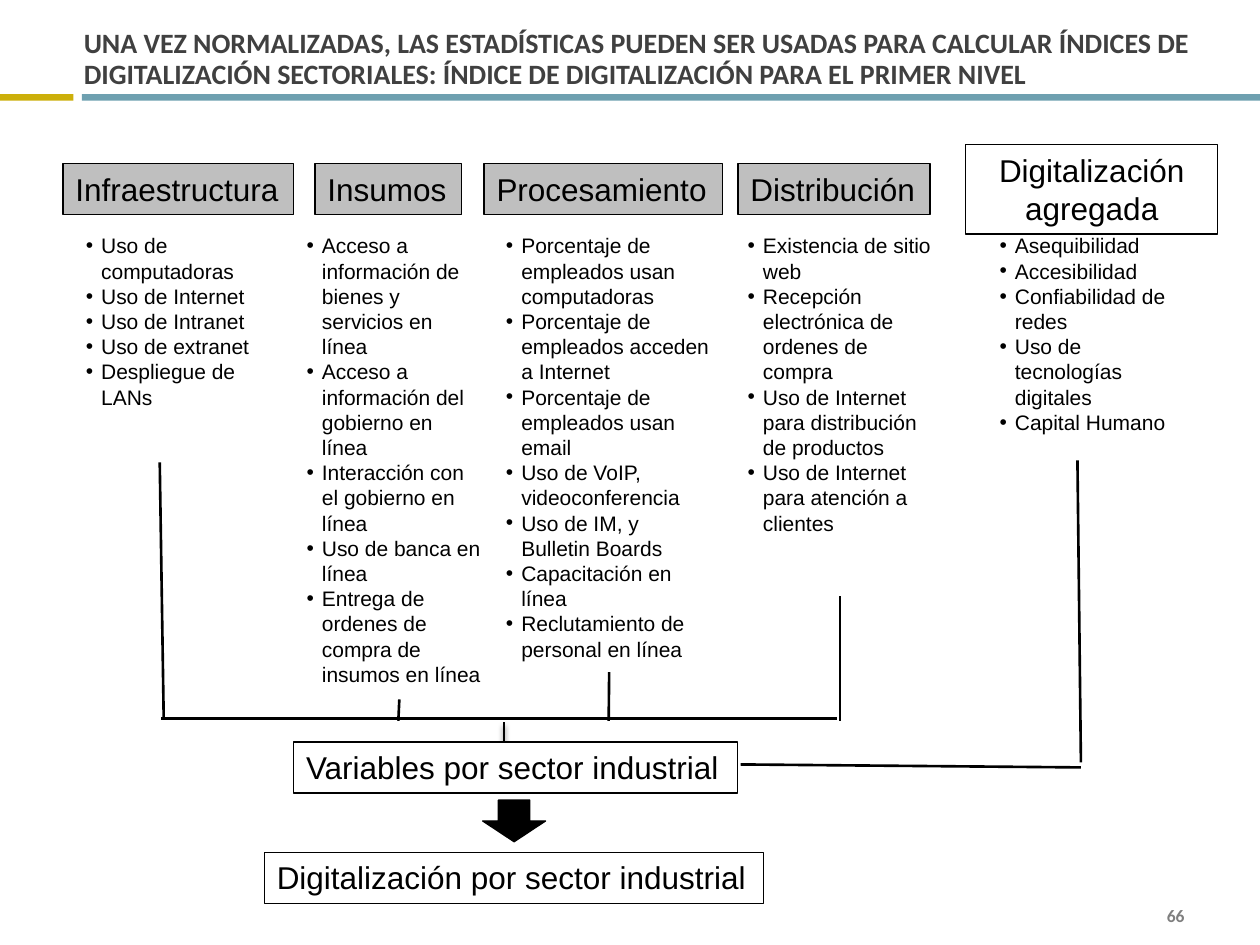
from lxml.etree import SubElement
from pptx import Presentation
from pptx.dml.color import RGBColor
from pptx.enum.shapes import MSO_CONNECTOR, MSO_SHAPE
from pptx.enum.text import MSO_ANCHOR, MSO_AUTO_SIZE, PP_ALIGN
from pptx.oxml.ns import qn
from pptx.util import Cm, Pt

BLACK = RGBColor(0, 0, 0)
WHITE = RGBColor(255, 255, 255)
SILVER = RGBColor(0xBF, 0xBF, 0xBF)
GRAY = RGBColor(0x7F, 0x7F, 0x7F)
DARK = RGBColor(0x40, 0x40, 0x40)
GOLD = RGBColor(0xCC, 0xAF, 0x0A)
BLUE = RGBColor(0x6E, 0xA0, 0xB0)

# Header text, header left and width, list left and width, list height, items
COLUMNS = [
    ("Infraestructura", 1.27, 4.65, 1.48, 4.24, 4.37,
     ["Uso de computadoras", "Uso de Internet", "Uso de Intranet",
      "Uso de extranet", "Despliegue de LANs"]),
    ("Insumos", 6.35, 2.95, 5.93, 4.02, 10.52,
     ["Acceso a información de bienes y servicios en línea",
      "Acceso a información del gobierno en línea",
      "Interacción con el gobierno en línea",
      "Uso de banca en línea",
      "Entrega de ordenes de compra de insumos en línea"]),
    ("Procesamiento", 9.76, 4.8, 9.95, 4.66, 8.97,
     ["Porcentaje de empleados usan computadoras",
      "Porcentaje de empleados acceden a Internet",
      "Porcentaje de empleados usan email",
      "Uso de VoIP, videoconferencia",
      "Uso de IM, y Bulletin Boards",
      "Capacitación en línea",
      "Reclutamiento de personal en línea"]),
    ("Distribución", 14.88, 3.87, 14.82, 4.24, 7.44,
     ["Existencia de sitio web",
      "Recepción electrónica de ordenes de compra",
      "Uso de Internet para distribución de productos",
      "Uso de Internet para atención a clientes"]),
]
TOTAL = ["Asequibilidad", "Accesibilidad", "Confiabilidad de redes",
         "Uso de tecnologías digitales", "Capital Humano"]


def write(shape, lines, size=18, font="Arial", color=BLACK, bold=False,
          align=PP_ALIGN.LEFT, anchor=MSO_ANCHOR.TOP, wrap=True, grow=True,
          bullet=False, space=None, inset=None):
    frame = shape.text_frame
    frame.word_wrap = wrap
    frame.vertical_anchor = anchor
    frame.auto_size = MSO_AUTO_SIZE.SHAPE_TO_FIT_TEXT if grow else MSO_AUTO_SIZE.NONE
    if inset:
        (frame.margin_left, frame.margin_top,
         frame.margin_right, frame.margin_bottom) = map(Cm, inset)
    for i, line in enumerate(lines):
        para = frame.add_paragraph() if i else frame.paragraphs[0]
        para.text = line
        para.alignment = align
        if space:
            para.line_spacing = space
        if bullet:
            props = para._p.get_or_add_pPr()
            props.set("marL", str(Cm(0.31)))
            props.set("indent", str(-Cm(0.31)))
            SubElement(props, qn("a:buFont"), typeface="Arial")
            SubElement(props, qn("a:buChar"), char="•")
        face = para.runs[0].font
        face.name, face.size, face.bold = font, Pt(size), bold
        face.color.rgb = color


def block(slide, box, fill=None, edge=None, kind=MSO_SHAPE.RECTANGLE):
    shape = slide.shapes.add_shape(kind, *map(Cm, box))
    shape.shadow.inherit = False
    if fill is None:
        shape.fill.background()
    else:
        shape.fill.solid()
        shape.fill.fore_color.rgb = fill
    if edge is None:
        shape.line.fill.background()
    else:
        shape.line.color.rgb = edge
        shape.line.width = Pt(0.75)
    return shape


def label(slide, box, text, fill=None, **style):
    write(block(slide, box, fill, BLACK), [text], **style)


def note(slide, box, lines, **style):
    write(slide.shapes.add_textbox(*map(Cm, box)), lines, **style)


def rule(slide, x1, y1, x2, y2, shade=False):
    line = slide.shapes.add_connector(MSO_CONNECTOR.STRAIGHT,
                                      *map(Cm, (x1, y1, x2, y2)))
    line.line.color.rgb = BLACK
    line.line.width = Pt(1.5)
    effect = SubElement(line._element.spPr, qn("a:effectLst"))
    if shade:
        cast = SubElement(effect, qn("a:outerShdw"), blurRad=str(Pt(3)),
                          dist=str(Pt(2.4)), dir="5400000", rotWithShape="0")
        tint = SubElement(cast, qn("a:srgbClr"), val=str(BLACK))
        SubElement(tint, qn("a:alpha"), val="45000")


def banner(slide, x, y, w, h):
    """Title over a gold and blue band."""
    band = y + h
    block(slide, (0, band, 1.48, 0.13), GOLD)
    block(slide, (1.65, band, 23.75, 0.13), BLUE)
    note(slide, (x, y, w, h),
         ["UNA VEZ NORMALIZADAS, LAS ESTADÍSTICAS PUEDEN SER USADAS PARA "
          "CALCULAR ÍNDICES DE DIGITALIZACIÓN SECTORIALES: ÍNDICE DE "
          "DIGITALIZACIÓN PARA EL PRIMER NIVEL"],
         size=16, font="Calibri", color=DARK, bold=True, grow=False,
         anchor=MSO_ANCHOR.BOTTOM, space=Pt(18), inset=(0, 0.13, 0, 0.08))


def table(slide, top):
    """Headers with their bullet lists, side by side."""
    head, body = top + 0.38, top + 1.65
    for text, x, w, left, wide, tall, items in COLUMNS:
        label(slide, (x, head, w, 1.03), text, SILVER, wrap=False)
        note(slide, (left, body, wide, tall), items, size=12, bullet=True)
    label(slide, (19.47, top, 5.08, 1.8), "Digitalización agregada",
          align=PP_ALIGN.CENTER)
    note(slide, (19.9, body, 4.23, 6.4), TOTAL, size=12, bullet=True)


def flow(slide, x, y):
    """Lines that lead from the lists to the two result boxes."""
    base = y - 0.48
    rule(slide, 3.25, base, 16.87, base)
    rule(slide, 3.22, 9.32, 3.3, base)
    for start, end, top in ((16.93, 16.93, 12.02), (12.28, 12.27, 13.55),
                            (8.05, 8.03, 14.1)):
        rule(slide, start, top, end, base + 0.05)
    rule(slide, 10.16, base + 0.08, 10.16, base + 0.9, shade=True)
    label(slide, (x + 0.59, y, 8.95, 1.03), "Variables por sector industrial",
          WHITE, wrap=False)
    rule(slide, 21.72, 9.28, 21.79, y + 0.41)
    rule(slide, 21.79, y + 0.51, 14.93, y + 0.45)
    block(slide, (x + 4.4, y + 1.17, 1.27, 0.84), BLACK, BLACK,
          MSO_SHAPE.DOWN_ARROW)
    label(slide, (x, y + 2.22, 10.06, 1.03),
          "Digitalización por sector industrial", WHITE, wrap=False)


def main():
    deck = Presentation()
    deck.slide_width, deck.slide_height = Cm(25.4), Cm(19.05)
    slide = deck.slides.add_slide(deck.slide_layouts[6])
    note(slide, (18.2, 18.2, 5.93, 0.51), ["66"], size=10, font="Calibri",
         color=GRAY, bold=True, align=PP_ALIGN.RIGHT,
         anchor=MSO_ANCHOR.MIDDLE, grow=False)
    banner(slide, 1.69, 0.21, 22.86, 1.69)
    table(slide, 2.92)
    flow(slide, 5.33, 14.96)
    deck.save("out.pptx")


if __name__ == "__main__":
    main()
